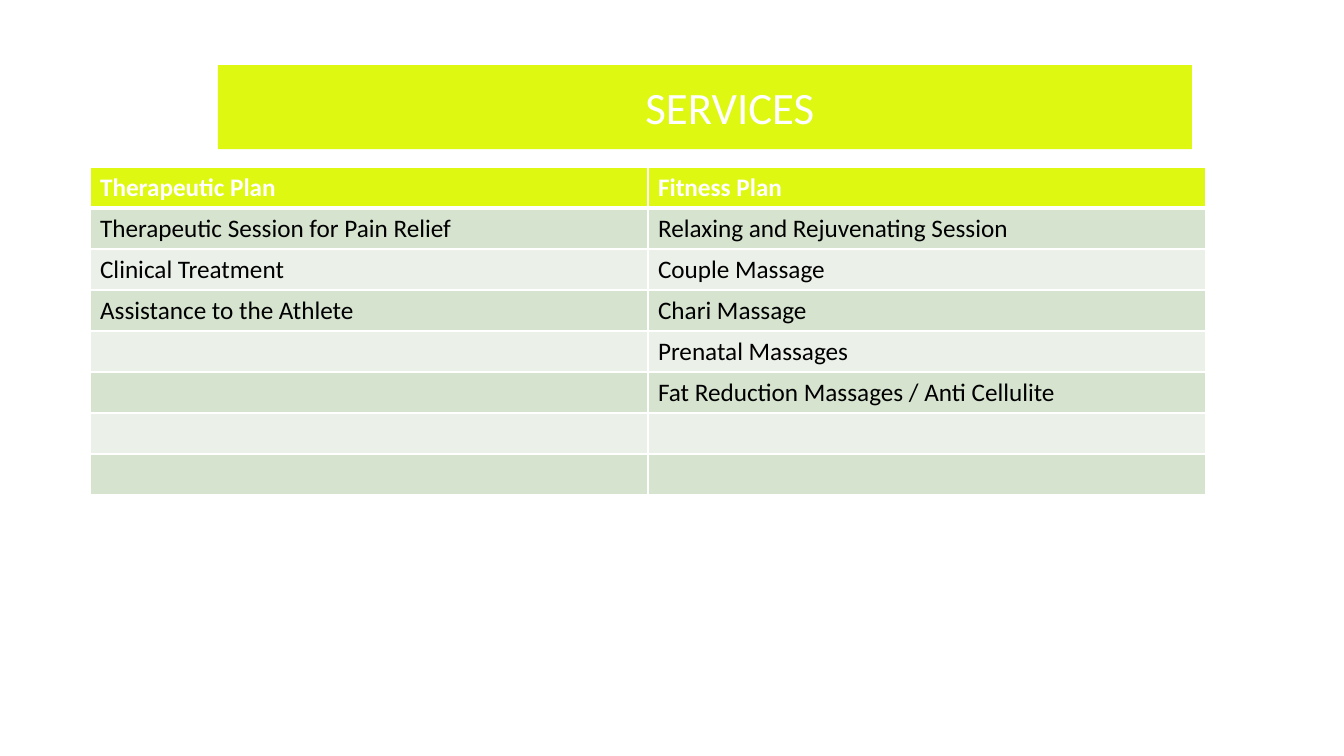
from itertools import zip_longest

from lxml import etree
from pptx import Presentation
from pptx.dml.color import RGBColor
from pptx.enum.text import MSO_ANCHOR, MSO_AUTO_SIZE, PP_ALIGN
from pptx.oxml.ns import qn
from pptx.util import Emu, Pt

# Content
TITLE = "SERVICES"
PLANS = {
    "Therapeutic Plan": [
        "Therapeutic Session for Pain Relief",
        "Clinical Treatment",
        "Assistance to the Athlete",
    ],
    "Fitness Plan": [
        "Relaxing and Rejuvenating Session",
        "Couple Massage",
        "Chari Massage",
        "Prenatal Massages",
        "Fat Reduction Massages / Anti Cellulite",
    ],
}
SPARE_ROWS = 2

# Layout in px
EMU_PER_PX = 914400 / 100.8
PAGE_SIZE = (1344, 756)
TITLE_BOX = (218, 75, 974, 64)
TITLE_INDENT = 60
TABLE_LEFT, TABLE_TOP = 90, 167
COLUMN_WIDTH, ROW_HEIGHT = 558, 41

# Look
CENTER = PP_ALIGN.CENTER
MIDDLE = MSO_ANCHOR.MIDDLE
GROW = MSO_AUTO_SIZE.SHAPE_TO_FIT_TEXT


class Theme:
    font = "Calibri"
    lime = "DFF812"
    white = "FFFFFF"
    black = "000000"
    bands = ("D5E3CF", "EBF1E9")
    title_size = 32
    body_size = 18
    thin, thick = 1, 3


def px(length):
    return Emu(round(length * EMU_PER_PX))


def set_values(target, values):
    for name, value in values.items():
        setattr(target, name, value)


def paint(target, color):
    target.fill.solid()
    target.fill.fore_color.rgb = RGBColor.from_string(color)


def write(para, text, size, color, bold=False):
    span = para.add_run()
    span.text = text
    set_values(span.font, {"name": Theme.font, "size": Pt(size), "bold": bold})
    span.font.color.rgb = RGBColor.from_string(color)


def add_borders(cell, widths):
    properties = cell._tc.get_or_add_tcPr()
    for side, width in widths.items():
        line = etree.SubElement(properties, qn(f"a:ln{side}"), w=str(Pt(width)))
        fill = etree.SubElement(line, qn("a:solidFill"))
        etree.SubElement(fill, qn("a:srgbClr"), val=Theme.white)


def add_title(page):
    title = page.shapes.title
    set_values(title, dict(zip(("left", "top", "width", "height"), map(px, TITLE_BOX))))
    paint(title, Theme.lime)
    frame = title.text_frame
    set_values(frame, {
        "word_wrap": True,
        "auto_size": GROW,
        "vertical_anchor": MIDDLE,
        "margin_left": px(TITLE_INDENT),
    })
    para = frame.paragraphs[0]
    para.alignment = CENTER
    write(para, TITLE, Theme.title_size, Theme.white)


def add_plans(page):
    rows = [tuple(PLANS), *zip_longest(*PLANS.values(), fillvalue="")]
    rows += [("",) * len(PLANS)] * SPARE_ROWS
    table = page.shapes.add_table(
        len(rows), len(PLANS), px(TABLE_LEFT), px(TABLE_TOP),
        px(COLUMN_WIDTH * len(PLANS)), px(ROW_HEIGHT * len(rows)),
    ).table
    for column in table.columns:
        column.width = px(COLUMN_WIDTH)

    for row_index, texts in enumerate(rows):
        table.rows[row_index].height = px(ROW_HEIGHT)
        header = row_index == 0
        band = Theme.lime if header else Theme.bands[(row_index - 1) % 2]
        color = Theme.white if header else Theme.black
        widths = {
            "L": Theme.thin,
            "R": Theme.thin,
            "T": Theme.thick if row_index == 1 else Theme.thin,
            "B": Theme.thick if header else Theme.thin,
        }
        for column_index, text in enumerate(texts):
            cell = table.cell(row_index, column_index)
            add_borders(cell, widths)
            paint(cell, band)
            if text:
                para = cell.text_frame.paragraphs[0]
                write(para, text, Theme.body_size, color, header)


def main():
    deck = Presentation()
    deck.slide_width, deck.slide_height = map(px, PAGE_SIZE)
    title_only = deck.slide_layouts[5]
    page = deck.slides.add_slide(title_only)
    add_title(page)
    add_plans(page)
    deck.save("out.pptx")


if __name__ == "__main__":
    main()
